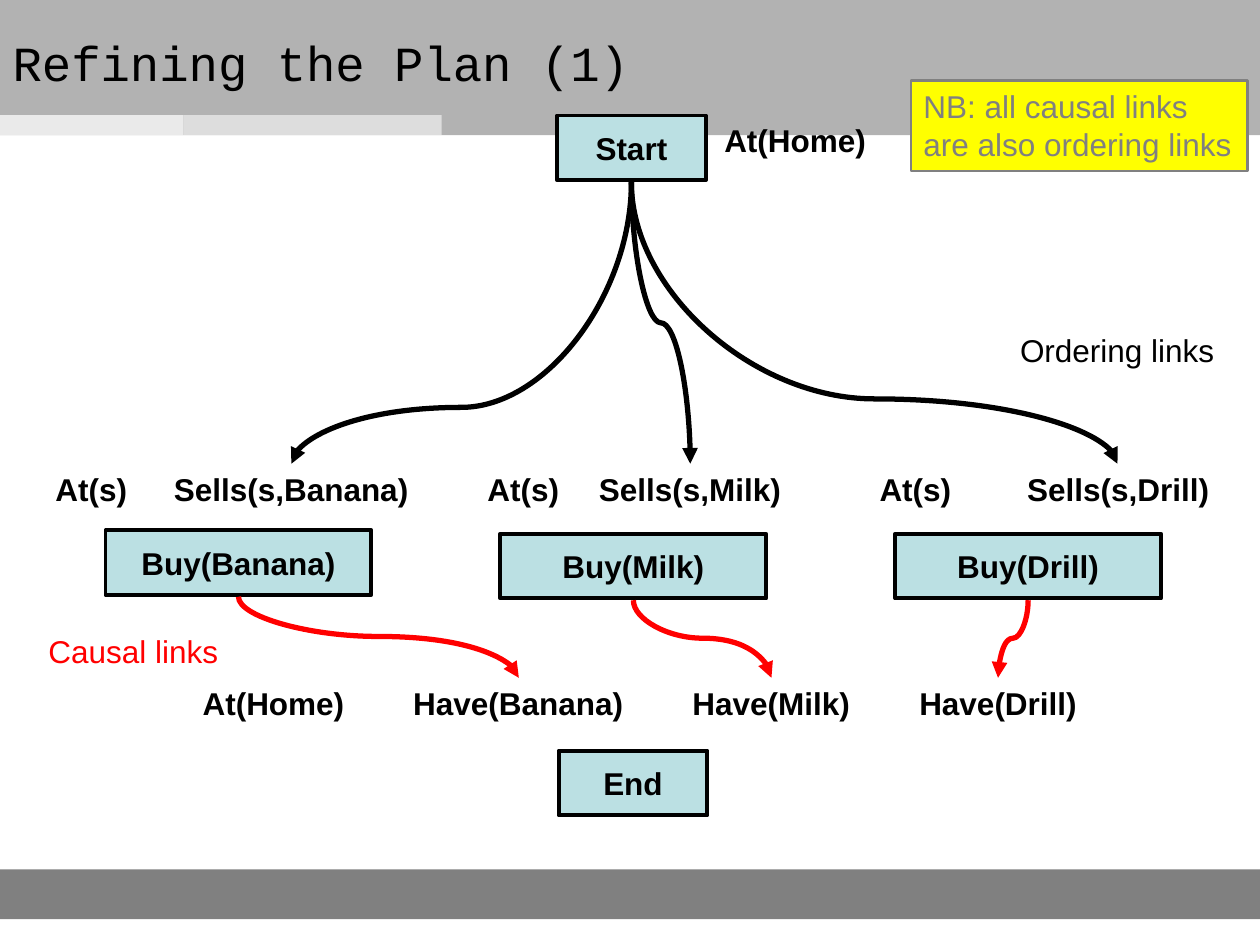
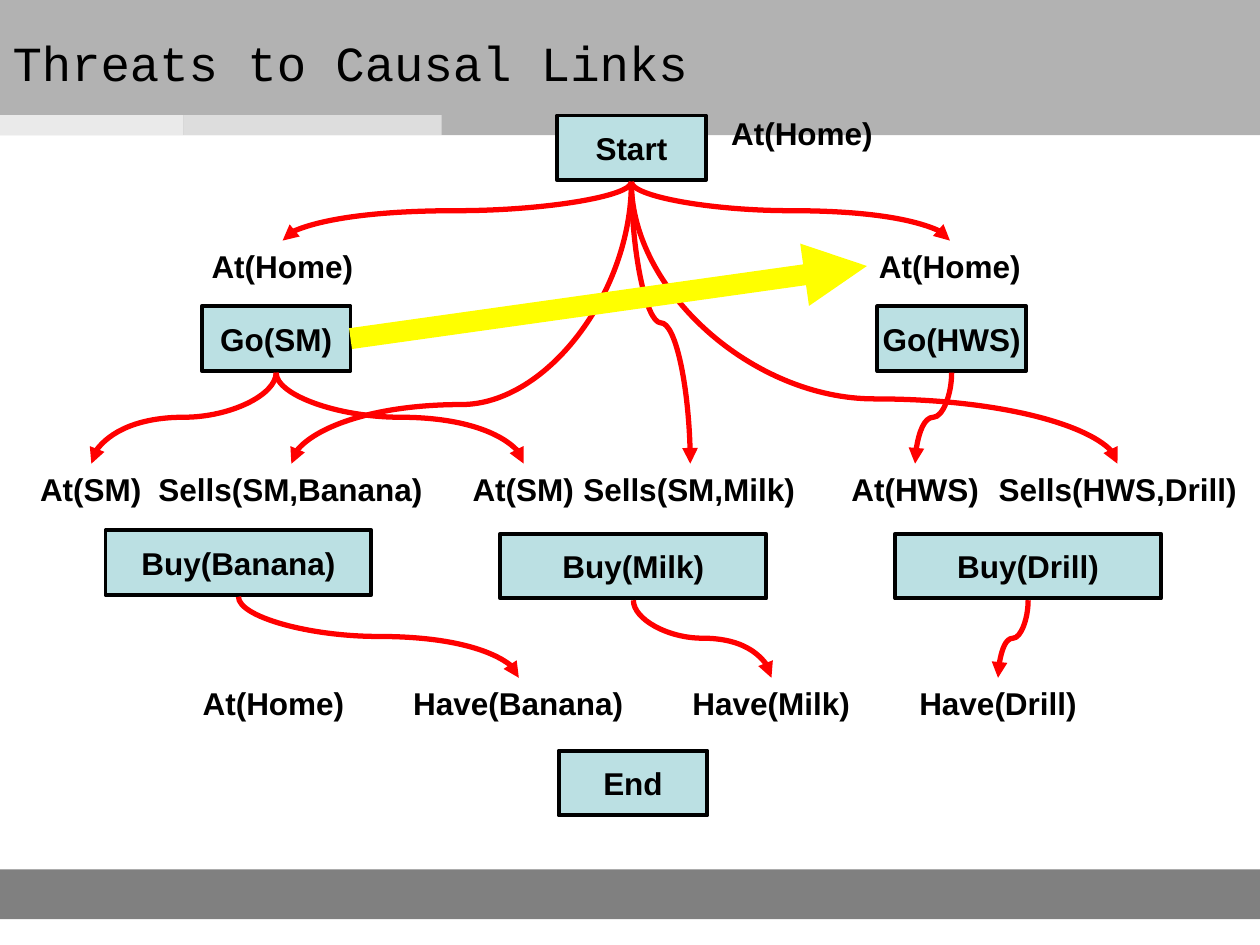
from dataclasses import dataclass

from pptx import Presentation
from pptx.dml.color import RGBColor
from pptx.enum.shapes import MSO_CONNECTOR as Connector, MSO_SHAPE as Shape
from pptx.enum.text import MSO_ANCHOR as Anchor, MSO_AUTO_SIZE as AutoSize, PP_ALIGN as Align
from pptx.oxml.ns import qn
from pptx.util import Pt
from lxml.etree import SubElement


@dataclass(frozen=True)
class Theme:
    text: str = "000000"
    causal: str = "FF0000"
    threat: str = "FFFF00"
    step: str = "BBE0E3"
    header: str = "B2B2B2"
    footer: str = "808080"
    tab_light: str = "EAEAEA"
    tab_dark: str = "DDDDDD"
    note: str = "FFFF00"
    note_text: str = "808080"
    title_font: str = "Courier New"
    body_font: str = "Arial"
    title_size: int = 28
    body_size: int = 18
    step_line: float = 2.25
    note_line: float = 1.5
    link_line: float = 3
    threat_line: float = 12


THEME = Theme()
STEP_HEIGHT = 37
SMALL_STEP = 85
BUY_STEP = 152
BUY_LEFT, BUY_PITCH = 60.3, 225.6
PRECONDITION_TOP = 265
GOAL_TOP = 387.3
LABEL_HEIGHT = 28.8
LINK_GAP = 1


def rgb(value):
    return RGBColor.from_string(value)


def place(shape, left, top, width, height):
    shape.left, shape.top = Pt(left), Pt(top)
    shape.width, shape.height = Pt(width), Pt(height)


class PlanDeck:
    def __init__(self, theme):
        self.theme = theme
        self.presentation = Presentation()
        self.presentation.slide_width = Pt(720)
        self.presentation.slide_height = Pt(540)
        self.layout = self.presentation.slide_layouts[5]
        place(self.layout.placeholders[0], 0, 0, 720, 71.3)
        self.slide = None

    def new_slide(self, title):
        first = self.slide is None
        self.slide = self.presentation.slides.add_slide(self.layout)
        if first:
            self.layout_bands()
        shape = self.slide.shapes.title
        place(shape, 0, 0, 720, 71.3)
        text_frame = shape.text_frame
        self.fill_text(text_frame, title, self.theme.text, False, Align.LEFT,
                       self.theme.title_font, self.theme.title_size)
        text_frame.vertical_anchor = Anchor.MIDDLE
        text_frame.auto_size = AutoSize.NONE

    def layout_bands(self):
        """Draw the bands and move them behind the layout's placeholders."""
        theme = self.theme
        bands = [
            (0, 0, 720, 77.2, theme.header),
            (0, 496.8, 720, 28.4, theme.footer),
            (0, 65.8, 105, 11.4, theme.tab_light),
            (105, 65.8, 147.4, 11.4, theme.tab_dark),
        ]
        for index, (left, top, width, height, fill) in enumerate(bands):
            band = self.rectangle(left, top, width, height, fill)
            band.name = f"Band {index + 1}"
            element = band._element
            element.nvSpPr.cNvPr.set("id", str(100 + index))
            self.layout.shapes._spTree.insert(2 + index, element)

    def fill_text(self, text_frame, text, color, bold=True, align=Align.LEFT,
                  font=None, size=None):
        text_frame.text = text
        for paragraph in text_frame.paragraphs:
            paragraph.alignment = align
            for run in paragraph.runs:
                run.font.name = font or self.theme.body_font
                run.font.size = Pt(size or self.theme.body_size)
                run.font.bold = bold
                run.font.color.rgb = rgb(color)

    def rectangle(self, left, top, width, height, fill, line=None, line_width=0):
        shape = self.slide.shapes.add_shape(
            Shape.RECTANGLE, Pt(left), Pt(top), Pt(width), Pt(height))
        shape.shadow.inherit = False
        shape.fill.solid()
        shape.fill.fore_color.rgb = rgb(fill)
        if line:
            shape.line.color.rgb = rgb(line)
            shape.line.width = Pt(line_width)
        else:
            shape.line.fill.background()
        return shape

    def step(self, text, left, top, width=SMALL_STEP):
        """Draw one plan step as a bordered box."""
        theme = self.theme
        shape = self.rectangle(left, top, width, STEP_HEIGHT, theme.step,
                               theme.text, theme.step_line)
        text_frame = shape.text_frame
        text_frame.margin_left = text_frame.margin_right = 0
        text_frame.margin_top = text_frame.margin_bottom = 0
        text_frame.vertical_anchor = Anchor.MIDDLE
        self.fill_text(text_frame, text, theme.text, align=Align.CENTER)
        return shape

    def note(self, text, left, top, width, height):
        theme = self.theme
        shape = self.rectangle(left, top, width, height, theme.note,
                               theme.note_text, theme.note_line)
        shape.text_frame.word_wrap = False
        shape.text_frame.vertical_anchor = Anchor.TOP
        self.fill_text(shape.text_frame, text, theme.note_text, bold=False)

    def label(self, text, left, top, width, color=None, bold=True,
              align=Align.LEFT, height=LABEL_HEIGHT):
        shape = self.slide.shapes.add_textbox(Pt(left), Pt(top), Pt(width), Pt(height))
        shape.text_frame.word_wrap = False
        self.fill_text(shape.text_frame, text, color or self.theme.text, bold, align)

    def label_row(self, top, labels, align=Align.LEFT):
        for text, left, width in labels:
            self.label(text, left, top, width, align=align)

    def arrow_style(self, connector, color, width):
        connector.line.color.rgb = rgb(color)
        connector.line.width = Pt(width)
        properties = connector._element.spPr
        SubElement(properties.find(qn("a:ln")), qn("a:tailEnd"), type="triangle")
        SubElement(properties, qn("a:effectLst"))

    def link(self, step, end_x, end_y, bend, color):
        """Curve down from a step's bottom; bend is the turn's share of the drop."""
        start_x = step.left + step.width // 2
        start_y = step.top + step.height + Pt(LINK_GAP)
        drop, shift = Pt(end_y) - start_y, Pt(end_x) - start_x
        left = (start_x + Pt(end_x) - drop) // 2
        top = (start_y + Pt(end_y) - abs(shift)) // 2
        connector = self.slide.shapes.add_connector(
            Connector.CURVE, left, top, left + drop, top + abs(shift))
        properties = connector._element.spPr
        transform = properties.find(qn("a:xfrm"))
        transform.set("rot", str((270 if shift > 0 else 90) * 60000))
        if shift > 0:
            transform.set("flipH", "1")
        guides = properties.find(qn("a:prstGeom")).find(qn("a:avLst"))
        SubElement(guides, qn("a:gd"), name="adj1", fmla=f"val {round(bend * 100000)}")
        self.arrow_style(connector, color, self.theme.link_line)

    def threat(self, step, end_x, end_y):
        connector = self.slide.shapes.add_connector(
            Connector.STRAIGHT, step.left + step.width, step.top + step.height // 2,
            Pt(end_x), Pt(end_y))
        connector.begin_connect(step, 3)
        self.arrow_style(connector, self.theme.threat, self.theme.threat_line)

    def shared_plan(self, start_color, banana_bend):
        """Draw the steps, goals and links that every plan has; return Start."""
        start = self.step("Start", 318.3, 66)
        self.step("End", 319.2, 429)
        self.label_row(GOAL_TOP, [
            ("At(Home)", 108.7, 95.8),
            ("Have(Banana)", 229, 134.6),
            ("Have(Milk)", 388.6, 104.4),
            ("Have(Drill)", 518.2, 104.4),
        ])
        purchases = [("Banana", 303, 296.5), ("Milk", 305, 440.8), ("Drill", 305, 570.3)]
        for index, (item, top, goal_x) in enumerate(purchases):
            buy = self.step(f"Buy({item})", BUY_LEFT + index * BUY_PITCH, top, BUY_STEP)
            self.link(buy, goal_x, GOAL_TOP, 0.49, self.theme.causal)
        for end_x, bend in [(638.6, 0.77), (394.4, 0.5), (166.5, banana_bend)]:
            self.link(start, end_x, PRECONDITION_TOP, bend, start_color)
        return start


def refining_slide(deck):
    deck.new_slide("Refining the Plan (1)")
    deck.shared_plan(deck.theme.text, banana_bend=0.8)
    deck.label_row(PRECONDITION_TOP, [
        ("At(s)", 24.5, 55.4),
        ("Sells(s,Banana)", 92.2, 148.3),
        ("At(s)", 271.4, 55.4),
        ("Sells(s,Milk)", 334.8, 118.8),
        ("At(s)", 495.4, 55.4),
        ("Sells(s,Drill)", 579.6, 118.8),
    ], Align.CENTER)
    deck.note("NB: all causal links\vare also ordering links", 520.6, 46, 192.4, 51.8)
    deck.label("Ordering links", 575.8, 185.8, 125.3, bold=False)
    deck.label("Causal links", 20.6, 357.8, 111.6, deck.theme.causal, bold=False)
    deck.label("At(Home)", 406.8, 65.5, 95.8, height=50.4)


def threats_slide(deck):
    causal = deck.theme.causal
    deck.new_slide("Threats to Causal Links")
    start = deck.shared_plan(causal, banana_bend=0.79)
    go_market = deck.step("Go(SM)", 115.3, 175)
    go_hardware = deck.step("Go(HWS)", 501.3, 175)
    deck.label_row(137.5, [("At(Home)", 113.8, 95.8), ("At(Home)", 495.2, 95.8)])
    deck.label_row(PRECONDITION_TOP, [
        ("At(SM)", 15.8, 72.7),
        ("Sells(SM,Banana)", 83.4, 165.6),
        ("At(SM)", 262.9, 72.7),
        ("Sells(SM,Milk)", 326.2, 135.4),
        ("At(HWS)", 479.4, 87.8),
        ("Sells(HWS,Drill)", 563.6, 150.5),
    ])
    for step, end_x, end_y in [
        (start, 161.5, 137.5),
        (start, 542.8, 137.5),
        (go_market, 52.2, PRECONDITION_TOP),
        (go_market, 299.3, PRECONDITION_TOP),
        (go_hardware, 522.9, PRECONDITION_TOP),
    ]:
        deck.link(step, end_x, end_y, 0.49, causal)
    deck.threat(go_market, 495.4, 152)
    deck.label("At(Home)", 410.7, 61.7, 95.8, height=50.4)


def main():
    deck = PlanDeck(THEME)
    refining_slide(deck)
    threats_slide(deck)
    deck.presentation.save("out.pptx")


if __name__ == "__main__":
    main()
